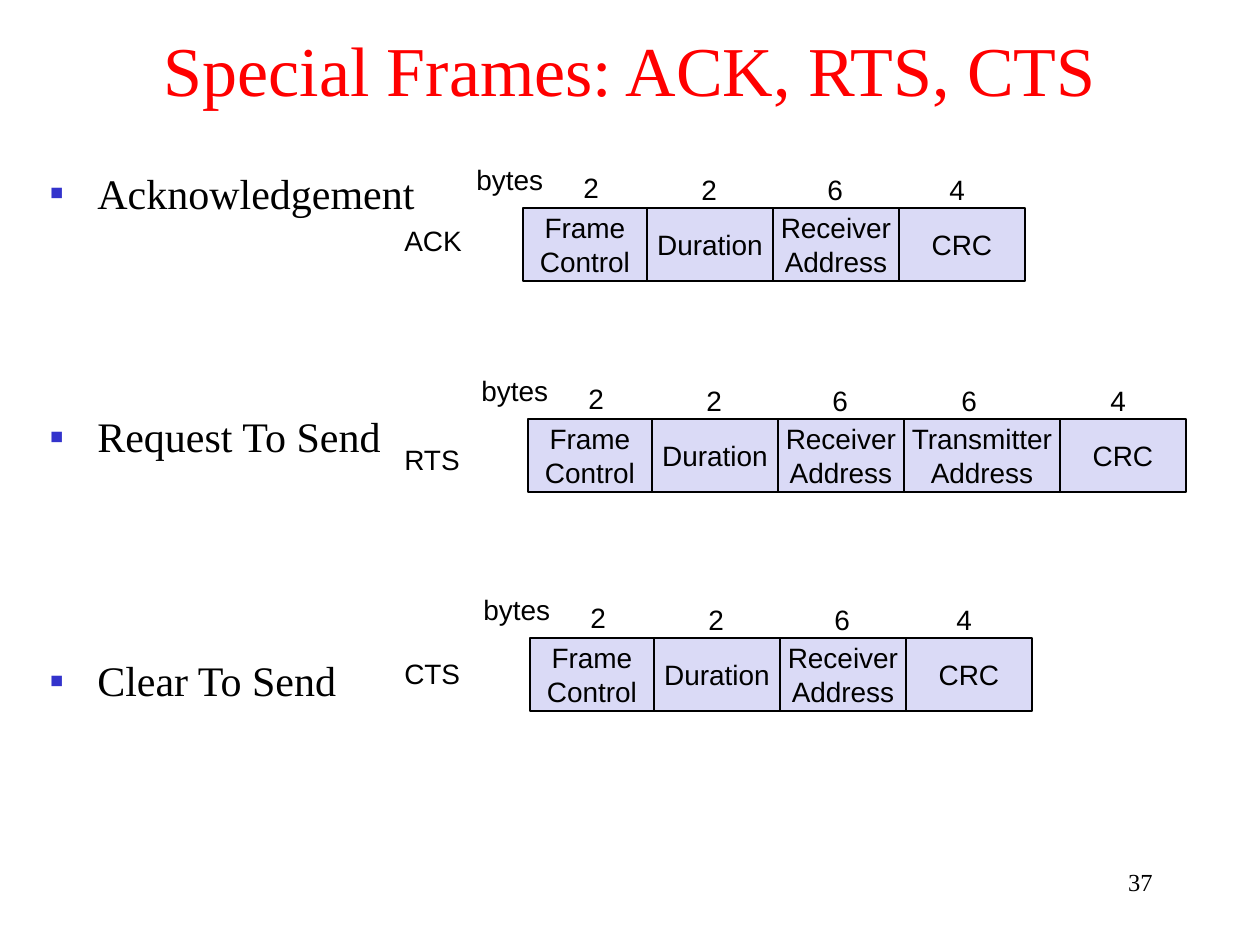
from dataclasses import dataclass

import pptx
import pptx.dml.color
import pptx.enum.shapes
import pptx.enum.text
import pptx.oxml
import pptx.oxml.ns
import pptx.util

ALIGN = pptx.enum.text.PP_ALIGN
ANCHOR = pptx.enum.text.MSO_ANCHOR


@dataclass(frozen=True)
class Theme:
    serif: str = "Times New Roman"
    sans: str = "Arial"
    ink: str = "000000"
    title: str = "FF0000"
    bullet: str = "3333CC"
    field: str = "DADAF6"
    title_size: int = 40
    body_size: int = 24
    label_size: int = 16
    page_size: int = 14


def px(n):
    return pptx.util.Emu(round(n * 914400 / 126))


def rgb(value):
    return pptx.dml.color.RGBColor.from_string(value)


def add_bullet(p, color, indent):
    pPr = p._p.get_or_add_pPr()
    pPr.set("marL", str(px(indent)))
    pPr.set("indent", str(-px(indent)))
    ns = pptx.oxml.ns.nsdecls("a")
    for xml in (f'<a:buClr {ns}><a:srgbClr val="{color}"/></a:buClr>',
                f'<a:buFont {ns} typeface="Arial"/>',
                f'<a:buChar {ns} char="▪"/>'):
        pPr.append(pptx.oxml.parse_xml(xml))


def write(tf, text, *, font, size, color, align=ALIGN.LEFT, anchor=ANCHOR.TOP,
          wrap=False, gap=0, bullet=None, indent=0):
    """Fill a text frame, one paragraph for each line of text."""
    tf.word_wrap = wrap
    tf.vertical_anchor = anchor
    for i, line in enumerate(text.split("\n")):
        p = tf.paragraphs[0] if i == 0 else tf.add_paragraph()
        p.alignment = align
        if i and gap:
            p.space_before = pptx.util.Pt(gap)
        if bullet:
            add_bullet(p, bullet, indent)
        r = p.add_run()
        r.text = line
        r.font.name = font
        r.font.size = pptx.util.Pt(size)
        r.font.color.rgb = rgb(color)


class Deck:
    def __init__(self, prs, theme):
        self.theme = theme
        self.s = prs.slides.add_slide(prs.slide_layouts[6])

    def text(self, x, y, w, h, text, **fmt):
        sp = self.s.shapes.add_textbox(px(x), px(y), px(w), px(h))
        write(sp.text_frame, text, **{"color": self.theme.ink, **fmt})

    def label(self, x, y, w, text):
        self.text(x, y, w, 46, text, font=self.theme.sans, size=self.theme.label_size)

    def field(self, x, y, w, h, text):
        t = self.theme
        sp = self.s.shapes.add_shape(pptx.enum.shapes.MSO_SHAPE.RECTANGLE,
                                     px(x), px(y), px(w), px(h))
        sp.shadow.inherit = False
        sp.fill.solid()
        sp.fill.fore_color.rgb = rgb(t.field)
        sp.line.color.rgb = rgb(t.ink)
        sp.line.width = pptx.util.Pt(0.75)
        write(sp.text_frame, text, font=t.sans, size=t.label_size, color=t.ink,
              align=ALIGN.CENTER, anchor=ANCHOR.MIDDLE)

    def frame(self, x, y, fields):
        """A row of fields with the byte count above each."""
        self.label(x - 59, y - 52, 94, "bytes")
        for name, width, count, dx, rise in fields:
            self.field(x, y, width, 73, name)
            self.label(x + dx, y - rise, 42, count)
            x += width


# Field: name, width, byte count, offset and rise of the count
CONTROL = ("Frame\nControl", 124, "2", 48, 44)
DURATION = ("Duration", 126, "2", 42, 42)
RECEIVER = ("Receiver\nAddress", 126, "6", 42, 42)
TRANSMITTER = ("Transmitter\nAddress", 156, "6", 45, 42)
CRC = ("CRC", 126, "4", 38, 42)

SHORT = (CONTROL, DURATION, RECEIVER, CRC)
LONG = (CONTROL, DURATION, RECEIVER, TRANSMITTER, CRC)

# Frame: name, top of the name, left and top of the row, fields
FRAMES = (
    ("ACK", 217, 523, 208, SHORT),
    ("RTS", 436, 528, 419, LONG),
    ("CTS", 650, 530, 638, SHORT),
)


def main():
    prs = pptx.Presentation()
    prs.slide_width, prs.slide_height = px(1260), px(945)
    t = Theme()
    deck = Deck(prs, t)

    # Title
    deck.text(0, 26, 1260, 86, "Special Frames: ACK, RTS, CTS", font=t.serif,
              size=t.title_size, color=t.title, align=ALIGN.CENTER,
              anchor=ANCHOR.MIDDLE, wrap=True)

    # Bulleted list
    deck.text(37, 161, 1194, 750, "Acknowledgement\nRequest To Send\nClear To Send",
              font=t.serif, size=t.body_size, wrap=True, gap=110.4,
              bullet=t.bullet, indent=48)

    # Frame formats
    for name, name_y, x, y, fields in FRAMES:
        deck.label(392, name_y, 88, name)
        deck.frame(x, y, fields)

    # Page number
    deck.text(903, 861, 262, 63, "37", font=t.serif, size=t.page_size,
              align=ALIGN.RIGHT, wrap=True)

    prs.save("out.pptx")


if __name__ == "__main__":
    main()
